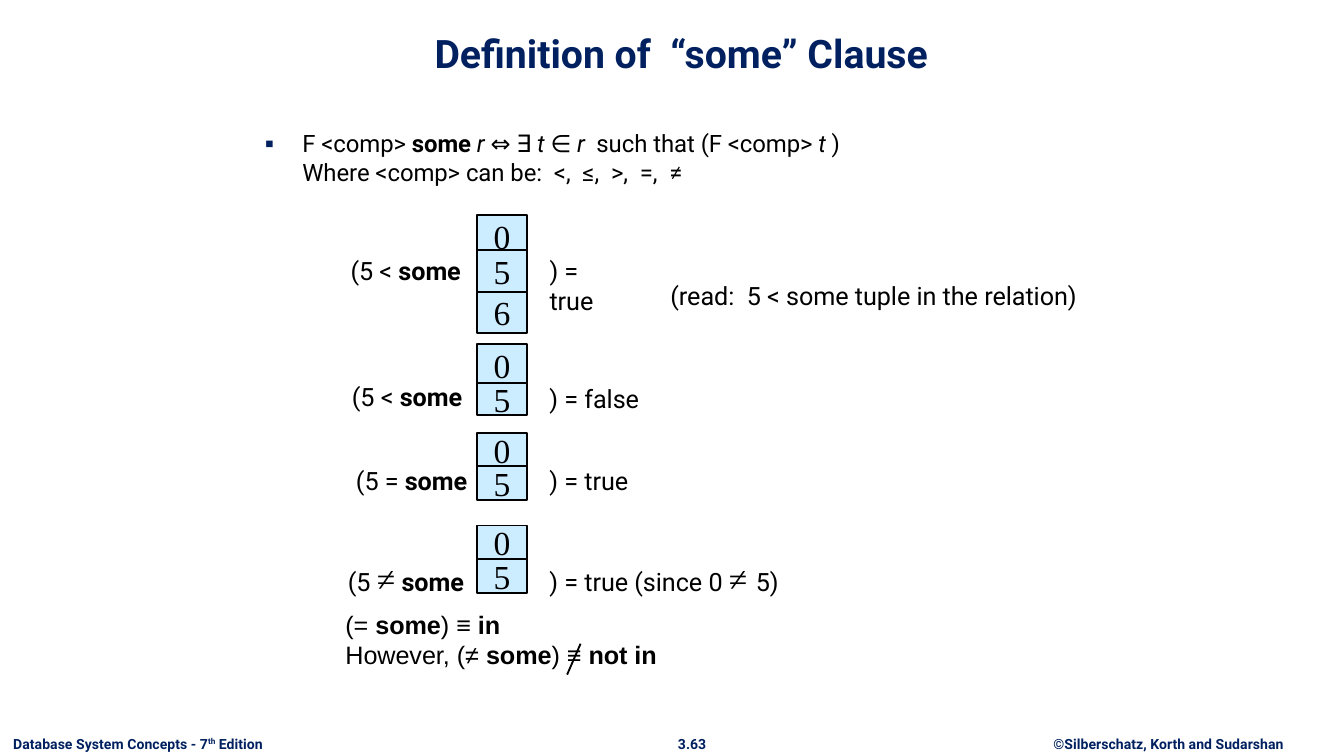
from lxml.etree import SubElement
from pptx import Presentation
from pptx.dml.color import RGBColor
from pptx.enum.shapes import MSO_CONNECTOR, MSO_SHAPE
from pptx.enum.text import MSO_ANCHOR, MSO_AUTO_SIZE, PP_ALIGN
from pptx.oxml.ns import qn
from pptx.util import Inches, Pt

NAVY = RGBColor(0x00, 0x20, 0x60)
BLACK = RGBColor(0x00, 0x00, 0x00)
PALE_BLUE = RGBColor(0xCC, 0xEC, 0xFF)

TITLE = "Definition of  “some” Clause"
DEFINITION = [
    ("F <comp> ", ""), ("some ", "bold"), ("r ", "italic"), ("⇔ ∃ ", ""),
    ("t ", "italic"), ("∈", ""), (" r  ", "italic"),
    ("such that (F <comp> ", ""), ("t ", "italic"), (")", ""),
    ("", "break"), ("Where <comp> can be:  <,  ≤,  >,  =,  ≠", ""),
]
FOOTERS = [
    (7.68, 2.03, PP_ALIGN.CENTER, [("©Silberschatz, Korth and Sudarshan", "")]),
    (4.94, 0.42, PP_ALIGN.CENTER, [("3.63", "")]),
    (0, 2.18, PP_ALIGN.LEFT,
     [("Database System Concepts - 7", ""), ("th", "super"), (" Edition", "")]),
]
RELATIONS = [
    [("0", 1.6, 0.31), ("5", 1.86, 0.31), ("6", 2.17, 0.31)],
    [("0", 2.56, 0.31), ("5", 2.85, 0.24)],
    [("0", 3.22, 0.25), ("5", 3.47, 0.25)],
    [("0", 3.91, 0.25), ("5", 4.16, 0.25)],
]
LABELS = [
    (2.51, 1.85, 1.11, 0.33, [("(5 < ", ""), ("some", "bold")]),
    (3.99, 1.85, 0.75, 0.56, [(") = true", "")]),
    (4.89, 2.04, 4, 0.33, [("(read:  5 < some tuple in the relation)", "")]),
    (2.52, 2.79, 1.13, 0.33, [("(5 < ", ""), ("some", "bold")]),
    (3.99, 2.8, 1, 0.33, [(") = false", "")]),
    (2.55, 3.41, 1.25, 0.33, [("(5 = ", ""), ("some", "bold")]),
    (3.99, 3.41, 1, 0.33, [(") = true", "")]),
    (2.49, 4.1, 1.19, 0.4, [("(5 ", ""), ("≠", "math"), (" ", ""), ("some", "bold")]),
    (3.99, 4.1, 2.06, 0.4, [(") = true (since 0 ", ""), ("≠ ", "math"), ("5)", "")]),
]
EQUIVALENCES = [
    [("(= ", ""), ("some", "bold"), (") ≡ ", ""), ("in", "bold")],
    [("However, (≠ ", ""), ("some", "bold"), (") ≡ ", ""), ("not in", "bold")],
]


def place(shape, left, top, width, height):
    shape.left, shape.top = Inches(left), Inches(top)
    shape.width, shape.height = Inches(width), Inches(height)


def write(para, spans, size, color=BLACK, name="Roboto", bold=None, align=None):
    para.alignment = align
    para.space_before = Pt(0)
    font = para.font
    font.size, font.name, font.bold = Pt(size), name, bold
    font.color.rgb = color
    for text, style in spans:
        if style == "break":
            para.add_line_break()
            continue
        span = para.add_run()
        span.text = text
        if style == "bold":
            span.font.bold = True
        elif style == "italic":
            span.font.italic = True
        elif style == "math":
            span.font.size, span.font.name = Pt(18), "Times New Roman"
        elif style == "super":
            span.font._element.set("baseline", "30000")


def add_text(page, left, top, width, height, wrap=True, fit=MSO_AUTO_SIZE.SHAPE_TO_FIT_TEXT):
    box = page.shapes.add_textbox(Inches(left), Inches(top), Inches(width), Inches(height))
    box.text_frame.word_wrap = wrap
    box.text_frame.auto_size = fit
    return box.text_frame


def add_bullet(para):
    props = para._p.get_or_add_pPr()
    props.set("marL", str(Inches(0.28)))
    props.set("indent", str(-Inches(0.28)))
    color = SubElement(props, qn("a:buClr"))
    SubElement(color, qn("a:srgbClr"), val=str(NAVY))
    SubElement(props, qn("a:buSzPct"), val="110000")
    SubElement(props, qn("a:buChar"), char="▪")


def add_cell(page, value, top, height):
    cell = page.shapes.add_shape(
        MSO_SHAPE.RECTANGLE, Inches(3.55), Inches(top), Inches(0.37), Inches(height))
    cell.shadow.inherit = False
    cell.fill.solid()
    cell.fill.fore_color.rgb = PALE_BLUE
    cell.line.color.rgb = BLACK
    cell.line.width = Pt(1)
    frame = cell.text_frame
    frame.word_wrap = False
    frame.vertical_anchor = MSO_ANCHOR.MIDDLE
    write(frame.paragraphs[0], [(value, "")], 18, name="Times New Roman",
          align=PP_ALIGN.CENTER)


def main():
    deck = Presentation()
    deck.slide_width = Inches(10)
    deck.slide_height = deck.slide_width * 9 // 16
    page = deck.slides.add_slide(deck.slide_layouts[1])

    title = page.shapes.title
    place(title, 1.76, 0.12, 6.62, 0.5)
    title.text_frame.vertical_anchor = MSO_ANCHOR.BOTTOM
    title.text_frame.auto_size = MSO_AUTO_SIZE.NONE
    write(title.text_frame.paragraphs[0], [(TITLE, "")], 21, NAVY, bold=True,
          align=PP_ALIGN.CENTER)

    body = page.placeholders[1]
    place(body, 1.87, 0.91, 5.58, 0.59)
    body.text_frame.auto_size = MSO_AUTO_SIZE.NONE
    para = body.text_frame.paragraphs[0]
    para.space_before = Pt(0)
    add_bullet(para)
    write(para, DEFINITION, 12.75)

    for left, width, align, spans in FOOTERS:
        frame = add_text(page, left, 5.42, width, 0.23, wrap=False)
        write(frame.paragraphs[0], spans, 7.5, NAVY, bold=True, align=align)

    for relation in RELATIONS:
        for value, top, height in relation:
            add_cell(page, value, top, height)

    for left, top, width, height, spans in LABELS:
        frame = add_text(page, left, top, width, height)
        write(frame.paragraphs[0], spans, 13.5)

    frame = add_text(page, 2.5, 4.49, 5.58, 0.59, fit=MSO_AUTO_SIZE.NONE)
    frame.margin_left = frame.margin_right = Inches(0.07)
    frame.margin_top = frame.margin_bottom = Inches(0.04)
    for index, spans in enumerate(EQUIVALENCES):
        para = frame.add_paragraph() if index else frame.paragraphs[0]
        write(para, spans, 13.5, name="Arial")

    strike = page.shapes.add_connector(
        MSO_CONNECTOR.STRAIGHT, Inches(4.32), Inches(4.79), Inches(4.22), Inches(5.02))
    strike.line.color.rgb = BLACK
    strike.line.width = Pt(1)
    SubElement(strike._element.spPr, qn("a:effectLst"))

    deck.save("out.pptx")


if __name__ == "__main__":
    main()
